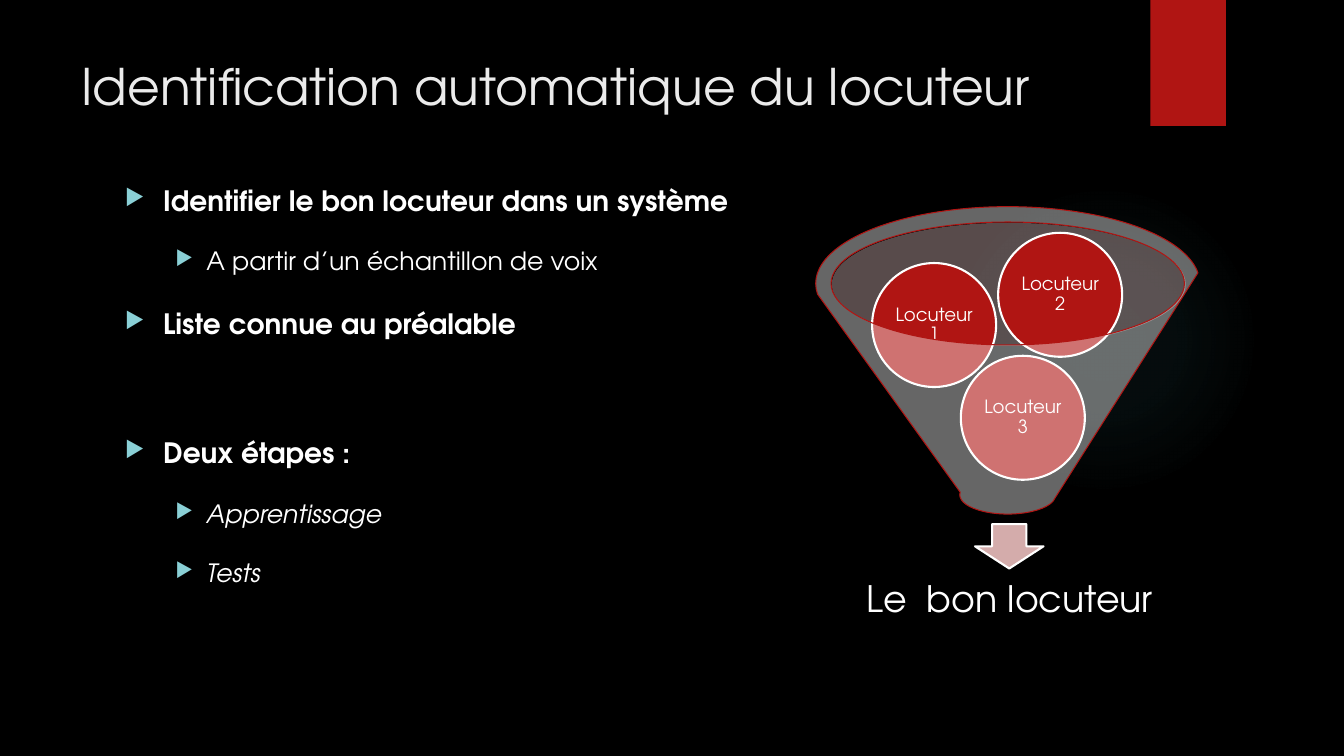
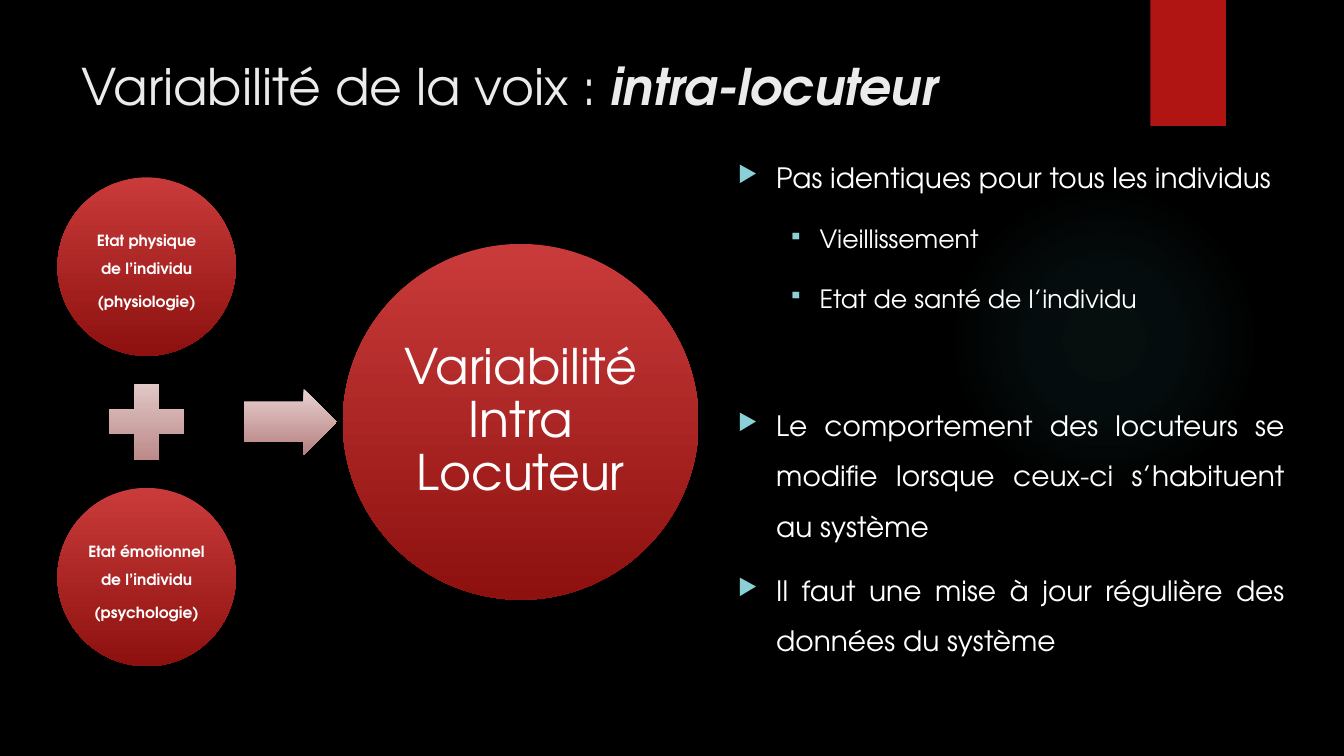
from pptx import Presentation
from pptx.dml.color import RGBColor
from pptx.enum.shapes import MSO_SHAPE
from pptx.enum.text import MSO_ANCHOR, PP_ALIGN
from pptx.oxml import parse_xml
from pptx.oxml.ns import nsdecls, qn
from pptx.util import Inches, Pt

FONT = "TeX Gyre Adventor"
HUES = {
    "black": "000000", "white": "FFFFFF", "title": "EBEBEB",
    "red": "B01513", "bright": "C93B3A", "dark": "8D110F",
    "blush": "DCBDBD", "rose": "D4ACAB", "pale": "E8D2D1",
    "dusk": "B57F7F", "glow": "50B9C1", "bullet": "8AD0D6",
}
BALL = [(0, "bright", 100), (100, "dark", 100)]
SIGN = [(0, "pale", 100), (100, "dusk", 100)]
GLOW = [(0, "glow", 7), (36, "glow", 6), (69, "glow", 0)]
LINEAR = '<a:lin ang="5400000" scaled="0"/>'
RADIAL = ('<a:path path="circle"><a:fillToRect l="50000" t="50000" '
          'r="50000" b="50000"/></a:path>')


def node(text):
    """Turn drawing markup into an element."""
    head, tail = text.split(">", 1)
    close = "/" if head.endswith("/") else ""
    return parse_xml(f"{head.rstrip('/')} {nsdecls('a')}{close}>{tail}")


def hue(name):
    """Look up a colour by name."""
    return RGBColor.from_string(HUES[name])


def tint(name, alpha):
    """Give the markup of a partly opaque colour."""
    return (f'<a:srgbClr val="{HUES[name]}">'
            f'<a:alpha val="{alpha * 1000}"/></a:srgbClr>')


def part(slide, kind, box, fill, alpha=100, line=None, shade=False):
    """Add a preset shape with a plain fill, or a blend given as stops."""
    shape = slide.shapes.add_shape(kind, *map(Inches, box))
    props = shape._element.spPr
    if isinstance(fill, str):
        paint = f"<a:solidFill>{tint(fill, alpha)}</a:solidFill>"
    else:
        stops = "".join(f'<a:gs pos="{pos * 1000}">{tint(name, clear)}</a:gs>'
                        for pos, name, clear in fill)
        way = RADIAL if fill is GLOW else LINEAR
        paint = f"<a:gradFill><a:gsLst>{stops}</a:gsLst>{way}</a:gradFill>"
    props.find(qn("a:prstGeom")).addnext(node(paint))
    if line:
        shape.line.color.rgb = hue(line[0])
        shape.line.width = Pt(line[1])
    else:
        shape.line.fill.background()
    shape.shadow.inherit = False
    if shade:
        props.find(qn("a:effectLst")).append(node(
            f'<a:outerShdw blurRad="{Pt(3)}" dist="{Pt(2)}" dir="5400000" '
            f'rotWithShape="0">{tint("black", 45)}</a:outerShdw>'))
    return shape


def style(para, size, color="white", bold=False, italic=False):
    """Set the font of a whole paragraph."""
    font = para.font
    font.name, font.size = FONT, Pt(size)
    font.bold, font.italic = bold, italic
    font.color.rgb = hue(color)


def label(shape, lines, size, inset, bold=False, space=0.9):
    """Write centred lines in the middle of a shape."""
    frame = shape.text_frame
    frame.word_wrap = True
    frame.vertical_anchor = MSO_ANCHOR.MIDDLE
    frame.margin_left = frame.margin_right = Inches(inset)
    frame.margin_top = frame.margin_bottom = Inches(inset)
    for num, line in enumerate(lines):
        para = frame.add_paragraph() if num else frame.paragraphs[0]
        para.text = line
        para.alignment = PP_ALIGN.CENTER
        para.line_spacing = space
        para.space_after = Pt(0.35 * size)
        style(para, size, bold=bold)


def base(deck, box, title, strong=""):
    """Add a slide with backdrop, glow, ribbon and title."""
    slide = deck.slides.add_slide(deck.slide_layouts[6])
    back = slide.background.fill
    back.solid()
    back.fore_color.rgb = hue("black")
    part(slide, MSO_SHAPE.OVAL, (9.41, 1.83, 3.08, 3.08), GLOW)
    part(slide, MSO_SHAPE.RECTANGLE, (11.41, 0, 0.75, 1.25), "red", shade=True)
    frame = slide.shapes.add_textbox(*map(Inches, box)).text_frame
    frame.word_wrap = True
    para = frame.paragraphs[0]
    style(para, 36, "title")
    para.add_run().text = title
    if strong:
        run = para.add_run()
        run.text = strong
        run.font.bold = run.font.italic = True
    return slide


def bullets(slide, box, items, mark="▶"):
    """List items given as text, level, bold, italic and space before."""
    frame = slide.shapes.add_textbox(*map(Inches, box)).text_frame
    frame.word_wrap = True
    for num, (text, level, bold, italic, gap) in enumerate(items):
        para = frame.add_paragraph() if num else frame.paragraphs[0]
        para.text = text
        para.level = level
        para.alignment = PP_ALIGN.JUSTIFY
        para.line_spacing = 1.5
        para.space_before = Pt(gap)
        left, hang = ((0.38, 0.38), (0.81, 0.31))[level]
        props = para._p.get_or_add_pPr()
        props.set("marL", str(Inches(left)))
        props.set("indent", str(-Inches(hang)))
        props.append(node(f"<a:buClr>{tint('bullet', 100)}</a:buClr>"))
        props.append(node('<a:buSzPct val="80000"/>'))
        props.append(node(f'<a:buChar char="{mark if level else "▶"}"/>'))
        style(para, 18 if level else 20, bold=bold, italic=italic)


def funnel(slide, box):
    """Draw three speakers in a funnel that leads to one result."""
    left, top, width, high = box
    part(slide, MSO_SHAPE.OVAL, (left + 0.16, top + 0.16, 3.51, 1.22),
         "blush", 40)
    part(slide, MSO_SHAPE.DOWN_ARROW, (left + 1.58, top + 3.15, 0.68, 0.44),
         "rose", line=("white", 1.5))
    foot = slide.shapes.add_textbox(
        *map(Inches, (left + 0.29, top + high - 0.82, 3.27, 0.82)))
    label(foot, ["Le  bon locuteur"], 26, 0.2)
    for num, across, down in ((3, 1.44, 1.48), (1, 0.56, 0.56),
                              (2, 1.81, 0.26)):
        ball = part(slide, MSO_SHAPE.OVAL,
                    (left + across, top + down, 1.23, 1.23),
                    "red", line=("white", 1.5))
        label(ball, [f"Locuteur {num}"], 13, 0.02)
    part(slide, MSO_SHAPE.FUNNEL, (left, top, width, 3.05),
         "white", 40, line=("red", 0.75))


def total(slide, box):
    """Draw two causes that add up to one large effect."""
    left, top, width, high = box
    small, large, plus = 1.77, 3.53, 1.02
    mid = top + high / 2
    causes = (("Etat physique de l’individu", "(physiologie)"),
              ("Etat émotionnel de l’individu", "(psychologie)"))
    for num, lines in enumerate(causes):
        ball = part(slide, MSO_SHAPE.OVAL,
                    (left, top + num * (high - small), small, small),
                    BALL, shade=True)
        label(ball, lines, 11, 0.02, bold=True, space=1.5)
    part(slide, MSO_SHAPE.MATH_PLUS,
         (left + (small - plus) / 2, mid - plus / 2, plus, plus),
         SIGN, shade=True)
    arrow = part(slide, MSO_SHAPE.RIGHT_ARROW,
                 (left + 1.85, mid - 0.33, 0.92, 0.66), SIGN, shade=True)
    arrow.adjustments[0] = 0.6
    arrow.adjustments[1] = 0.5
    ball = part(slide, MSO_SHAPE.OVAL,
                (left + width - large, mid - large / 2, large, large),
                BALL, shade=True)
    label(ball, ["Variabilité Intra Locuteur"], 35, 0.05)


def build():
    """Build and save the deck."""
    deck = Presentation()
    deck.slide_width, deck.slide_height = Inches(13.33), Inches(7.5)
    head = (0.71, 0.5, 10.29, 0.78)

    slide = base(deck, head, "Identification automatique du locuteur")
    bullets(slide, (1.14, 1.6, 11.03, 5.24), [
        ("Identifier le bon locuteur dans un système", 0, True, False, 10),
        ("A partir d’un échantillon de voix", 1, False, False, 10),
        ("Liste connue au préalable", 0, True, False, 10),
        ("Deux étapes :", 0, True, False, 56),
        ("Apprentissage", 1, False, True, 10),
        ("Tests", 1, False, True, 10),
    ])
    funnel(slide, (8.09, 2.05, 3.81, 4.32))

    slide = base(deck, head, "Variabilité de la voix : ", "intra-locuteur")
    bullets(slide, (7.22, 1.38, 5.62, 5.24), [
        ("Pas identiques pour tous les individus", 0, False, False, 10),
        ("Vieillissement", 1, False, False, 10),
        ("Etat de santé de l’individu", 1, False, False, 10),
        ("Le comportement des locuteurs se modifie lorsque ceux-ci "
         "s’habituent au système", 0, False, False, 56),
        ("Il faut une mise à jour régulière des données du système",
         0, False, False, 10),
    ], "▪")
    total(slide, (0.57, 1.76, 6.36, 4.85))

    deck.save("out.pptx")


build()
